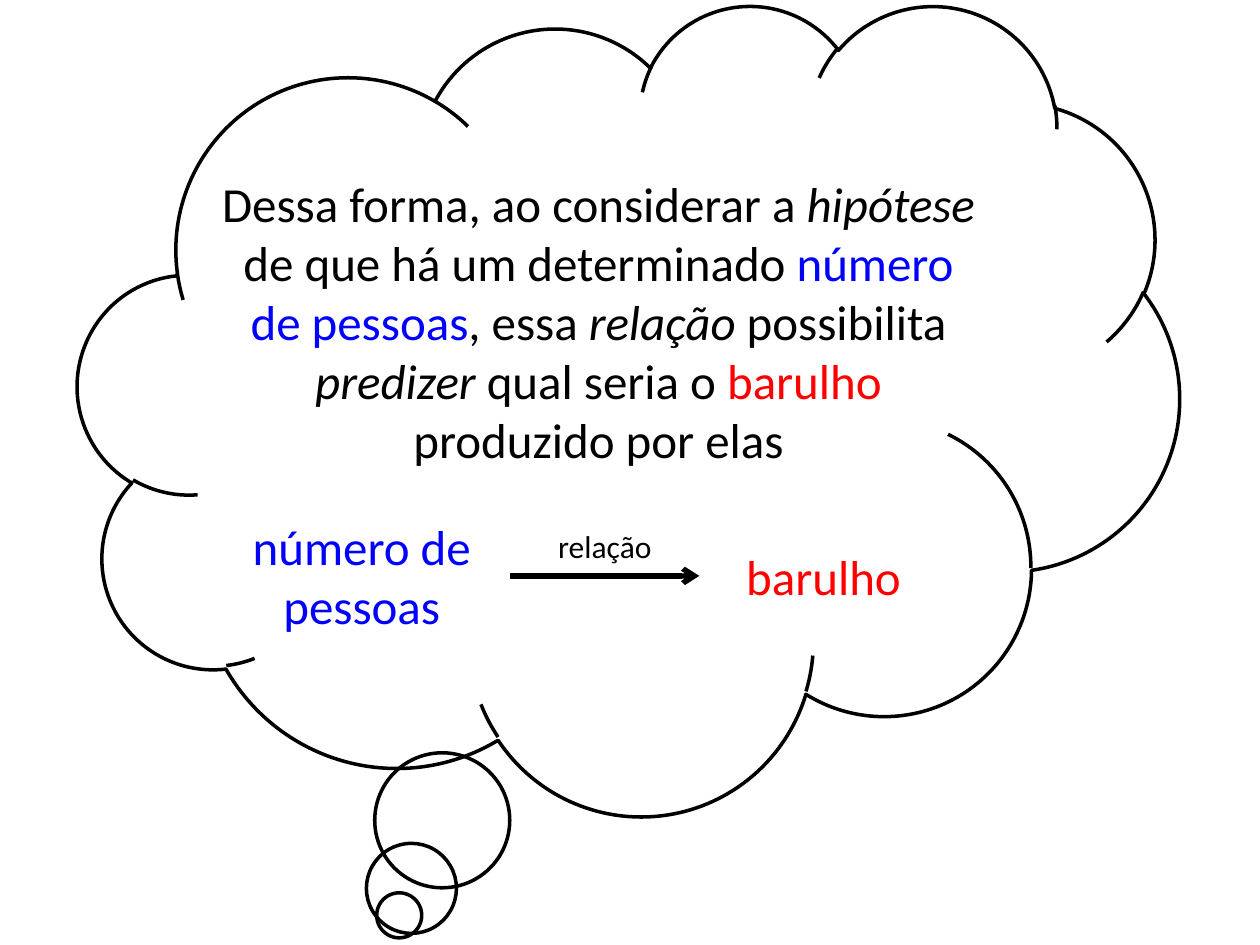
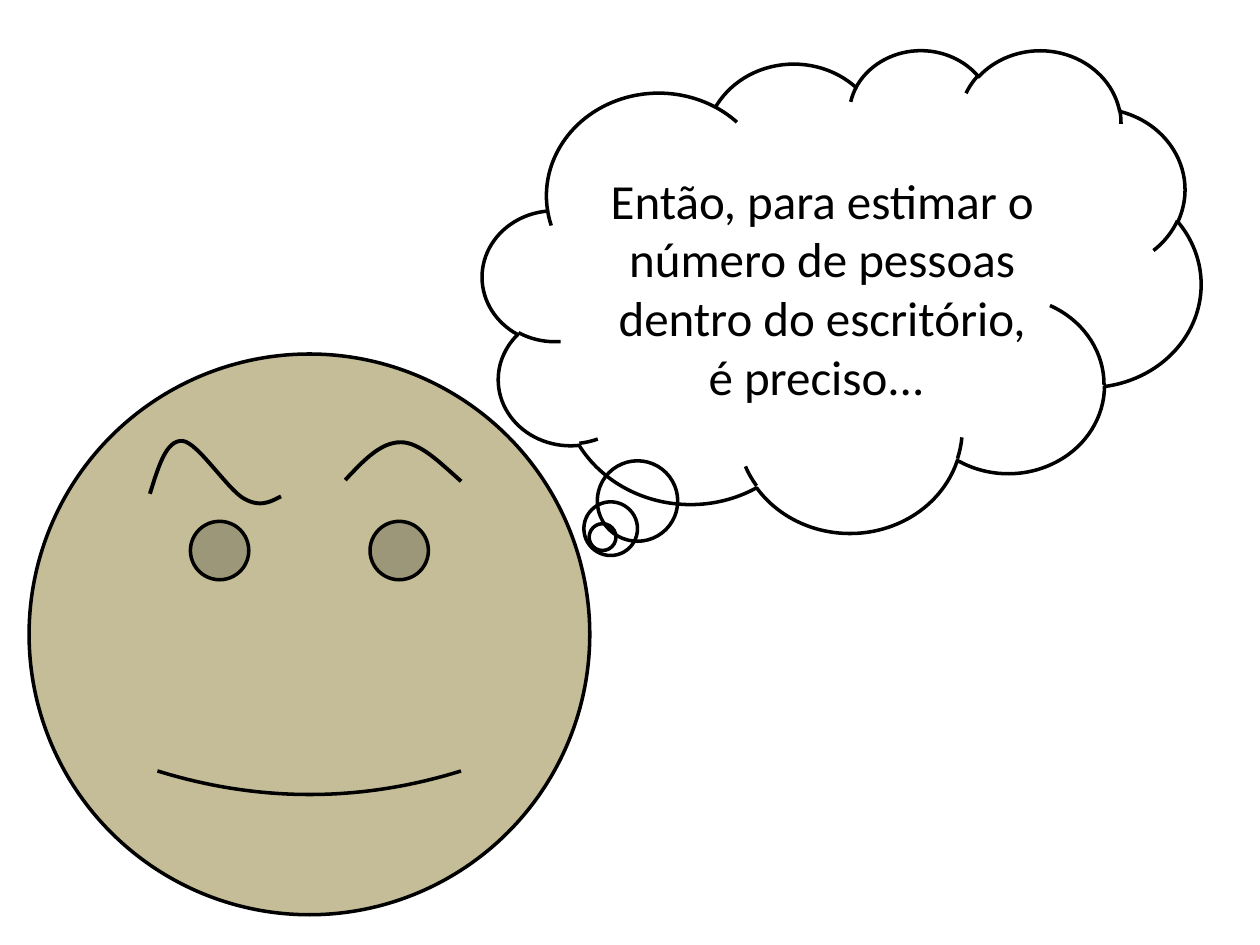
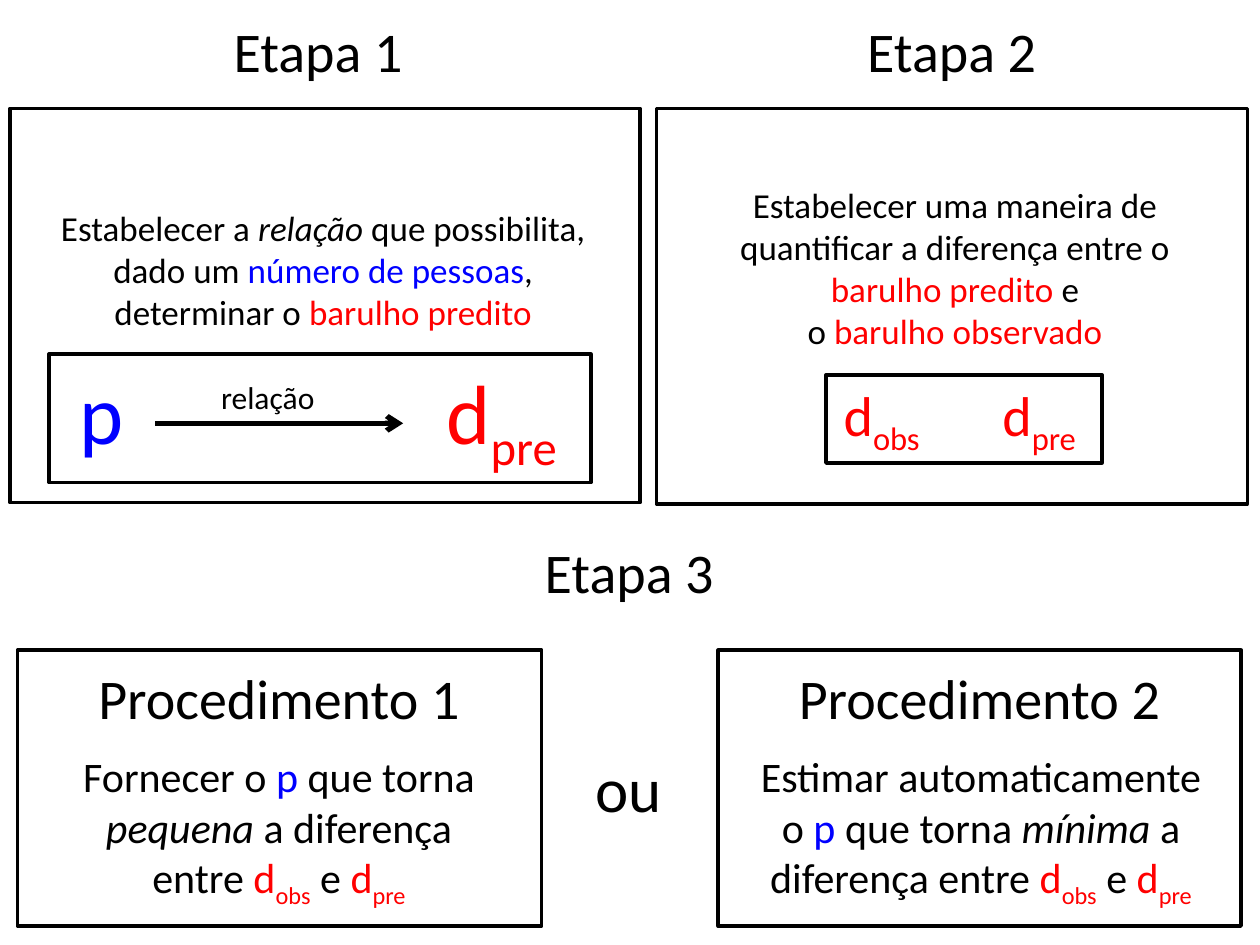
import lxml.etree
import pptx
import pptx.dml.color
import pptx.enum.shapes
import pptx.enum.text
import pptx.oxml.ns
import pptx.util

Pt = pptx.util.Pt
RGBColor = pptx.dml.color.RGBColor
SHAPE = pptx.enum.shapes.MSO_SHAPE

BLACK = RGBColor(0x00, 0x00, 0x00)
BLUE = RGBColor(0x00, 0x00, 0xFF)
RED = RGBColor(0xFF, 0x00, 0x00)
TAN = RGBColor(0xC4, 0xBD, 0x97)

PLAIN = {}
ITALIC = {"italic": True}
IN_BLUE = {"color": BLUE}
IN_RED = {"color": RED}
RED_SUB = {"color": RED, "sub": True}


class Deck:
    font = "Calibri"
    outline = 2
    arrow_width = 3
    brow_width = 2.25
    curve_steps = 16

    def __init__(self):
        self.prs = pptx.Presentation()
        self.prs.slide_width = Pt(720)
        self.prs.slide_height = Pt(540)
        self.s = None

    def slide(self):
        self.s = self.prs.slides.add_slide(self.prs.slide_layouts[6])

    def format_run(self, r, size, color=BLACK, italic=False, sub=False):
        r.font.name = self.font
        r.font.size = Pt(size)
        r.font.color.rgb = color
        r.font.italic = italic
        if sub:
            r._r.get_or_add_rPr().set("baseline", "-25000")

    def text(self, box, size, *paragraphs):
        sp = self.s.shapes.add_textbox(*map(Pt, box))
        tf = sp.text_frame
        tf.word_wrap = True
        tf.auto_size = pptx.enum.text.MSO_AUTO_SIZE.SHAPE_TO_FIT_TEXT
        for i, pieces in enumerate(paragraphs):
            p = tf.add_paragraph() if i else tf.paragraphs[0]
            p.alignment = pptx.enum.text.PP_ALIGN.CENTER
            for content, style in pieces:
                r = p.add_run()
                r.text = content
                self.format_run(r, size, **style)
        return sp

    def label(self, box, size, content, style=PLAIN):
        return self.text(box, size, [(content, style)])

    def draw(self, sp, width, fill=None):
        sp.shadow.inherit = False
        if fill is None:
            sp.fill.background()
        else:
            sp.fill.solid()
            sp.fill.fore_color.rgb = fill
        sp.line.color.rgb = BLACK
        sp.line.width = Pt(width)

    def shape(self, kind, box, adjustments=(), fill=None):
        sp = self.s.shapes.add_shape(kind, *map(Pt, box))
        for i, value in enumerate(adjustments):
            sp.adjustments[i] = value
        self.draw(sp, self.outline, fill)

    def frame(self, box):
        self.shape(SHAPE.RECTANGLE, box)

    def curve(self, start, *segments):
        points = []
        knot = start
        for c1, c2, end in segments:
            for step in range(1, self.curve_steps + 1):
                t = step / self.curve_steps
                u = 1 - t
                points.append(tuple(
                    Pt(u**3 * a + 3 * u * u * t * b + 3 * u * t * t * c + t**3 * d)
                    for a, b, c, d in zip(knot, c1, c2, end)))
            knot = end
        builder = self.s.shapes.build_freeform(*map(Pt, start), scale=1.0)
        builder.add_line_segments(points, close=False)
        self.draw(builder.convert_to_shape(), self.brow_width)

    def arrow(self, x1, x2, y, source=None, target=None):
        line = self.s.shapes.add_connector(
            pptx.enum.shapes.MSO_CONNECTOR.STRAIGHT, Pt(x1), Pt(y), Pt(x2), Pt(y))
        line.line.color.rgb = BLACK
        line.line.width = Pt(self.arrow_width)
        qn = pptx.oxml.ns.qn
        ln = line.line._get_or_add_ln()
        lxml.etree.SubElement(ln, qn("a:tailEnd")).set("type", "arrow")
        lxml.etree.SubElement(line._element.spPr, qn("a:effectLst"))
        if source is not None:
            line.begin_connect(source, 3)
        if target is not None:
            line.end_connect(target, 1)


def hypothesis_slide(deck):
    deck.slide()
    deck.shape(SHAPE.CLOUD_CALLOUT, (44.6, 2.2, 629.3, 463), (-0.2083, 0.625))
    people = deck.label((121.7, 291.6, 170, 75), 28, "número de pessoas", IN_BLUE)
    noise = deck.label((399.6, 308.5, 142, 41.2), 28, "barulho", IN_RED)
    deck.arrow(292, 399.6, 329.1, people, noise)
    deck.label((303.1, 297.4, 85, 29), 18, "relação")
    deck.text((118.1, 95.8, 447.8, 177), 28, [
        ("Dessa forma, ao considerar a ", PLAIN), ("hipótese", ITALIC),
        (" de que há um determinado ", PLAIN), ("número de pessoas", IN_BLUE),
        (", essa ", PLAIN), ("relação", ITALIC), (" possibilita ", PLAIN),
        ("predizer", ITALIC), (" qual seria o ", PLAIN), ("barulho", IN_RED),
        (" produzido por elas", PLAIN)])


def thinker_slide(deck):
    deck.slide()
    deck.shape(SHAPE.SMILEY_FACE, (16.6, 202.3, 320.4, 320.4), (0.021,), TAN)
    deck.curve((85.7, 282.2),
               ((90.7, 266.4), (95, 251.3), (104.4, 252)),
               ((113, 252.7), (130.3, 280.1), (139.7, 285.1)),
               ((149, 290.2), (154.8, 286.6), (160.6, 283.7)))
    deck.curve((197.3, 274.3),
               ((207.4, 263.5), (217.4, 252.7), (229, 252.7)),
               ((239.8, 252.7), (251.3, 264.2), (263.5, 275)))
    deck.shape(SHAPE.CLOUD_CALLOUT, (275.8, 28.1, 410.4, 275.8), (-0.333, 0.511))
    deck.label((337.7, 93.6, 264.2, 143.3), 28,
               "Então, para estimar o número de pessoas dentro do escritório, é preciso... ")


def steps_slide(deck):
    deck.slide()
    for box in ((5.8, 61.9, 360, 225.4), (375.1, 61.9, 337.7, 226.1),
                (28.1, 202.3, 309.6, 73.4), (472, 214.2, 157.7, 50.4)):
        deck.frame(box)

    for left, top, number in ((31.7, 5.8, 1), (393.8, 5.8, 2), (209.5, 303.8, 3)):
        deck.label((left, top, 300.2, 46.1), 32, f"Etapa {number}")

    deck.text((15.8, 114.5, 337.7, 80), 20, [
        ("Estabelecer a ", PLAIN), ("relação", ITALIC),
        (" que possibilita, dado um ", PLAIN), ("número de pessoas", IN_BLUE),
        (", determinar o ", PLAIN), ("barulho predito", IN_RED)])
    deck.label((38.2, 202.3, 39.6, 65.5), 48, "p ", IN_BLUE)
    deck.label((108, 212.4, 90, 28.8), 18, "relação")
    deck.arrow(88.6, 230.4, 241.9)

    for box, size, index in (((230.4, 202.3, 118.8, 65.5), 48, "pre "),
                             ((466.6, 213.8, 78.5, 46.1), 32, "obs "),
                             ((556.6, 213.8, 78.5, 46.1), 32, "pre ")):
        deck.text(box, size, [("d", IN_RED), (index, RED_SUB)])

    deck.text((393.8, 101.5, 303.8, 104.4), 20,
              [("Estabelecer uma maneira de quantificar a diferença entre o", PLAIN)],
              [("barulho predito ", IN_RED), ("e", PLAIN)],
              [("o ", PLAIN), ("barulho observado", IN_RED)])

    procedures = (
        ((10.1, 299.5), (24.5, 270), (30.2, 258.5), "Fornecer o ", "pequena"),
        ((410.4, 298.8), (429.1, 261.4), (419.8, 281.5),
         "Estimar automaticamente o ", "mínima"))
    for number, (frame, title, body, action, degree) in enumerate(procedures, 1):
        deck.frame((frame[0], 371.5, frame[1], 157.7))
        deck.label((title[0], 375.8, title[1], 46.1), 32, f"Procedimento {number}")
        deck.text((body[0], 425.5, body[1], 94.3), 24, [
            (action, PLAIN), ("p", IN_BLUE), (" que torna ", PLAIN),
            (degree, ITALIC), (" a diferença entre ", PLAIN),
            ("d", IN_RED), ("obs", RED_SUB), (" e ", PLAIN),
            ("d", IN_RED), ("pre", RED_SUB)])
    deck.label((328.3, 424.8, 61.9, 51.1), 36, "ou")


def main():
    deck = Deck()
    hypothesis_slide(deck)
    thinker_slide(deck)
    steps_slide(deck)
    deck.prs.save("out.pptx")


if __name__ == "__main__":
    main()
